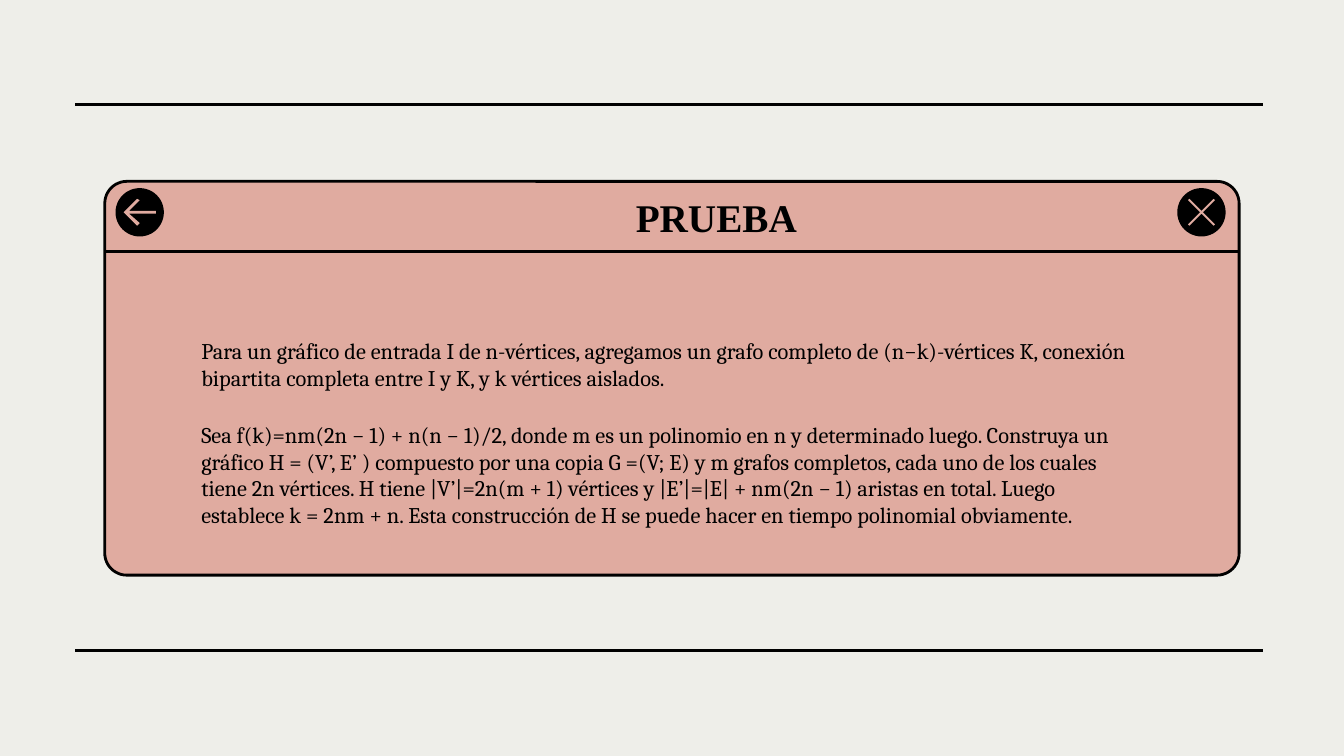
from dataclasses import dataclass

from lxml import etree
from pptx import Presentation
from pptx.dml.color import RGBColor
from pptx.enum.shapes import MSO_CONNECTOR, MSO_SHAPE
from pptx.enum.text import MSO_ANCHOR, MSO_AUTO_SIZE, PP_ALIGN
from pptx.oxml.ns import qn
from pptx.util import Inches, Pt

STRAIGHT = MSO_CONNECTOR.STRAIGHT
ROUNDED = MSO_SHAPE.ROUNDED_RECTANGLE
OVAL = MSO_SHAPE.OVAL
TOP, BOTTOM = MSO_ANCHOR.TOP, MSO_ANCHOR.BOTTOM
LEFT, CENTER = PP_ALIGN.LEFT, PP_ALIGN.CENTER
NO_AUTOFIT = MSO_AUTO_SIZE.NONE
TITLE_ONLY = 5


@dataclass(frozen=True)
class Theme:
    background: RGBColor = RGBColor(0xEE, 0xEE, 0xE9)
    ink: RGBColor = RGBColor(0, 0, 0)
    panel: RGBColor = RGBColor(0xE0, 0xAB, 0xA0)
    title_font: str = "Times New Roman"
    body_font: str = "Cambria"
    title_size: Pt = Pt(21)
    body_size: Pt = Pt(12)
    paragraph_gap: Pt = Pt(16)
    stroke: Pt = Pt(1.5)


THEME = Theme()
SLIDE_WIDTH = 10
SLIDE_HEIGHT = SLIDE_WIDTH * 9 / 16
BUTTON_SIZE = 0.36
BUTTON_MIDDLE = 1.58
CROSS = [(-0.09, -0.1), (-0.1, -0.09), (-0.01, 0), (-0.1, 0.09),
         (-0.09, 0.1), (0, 0.01), (0.09, 0.1), (0.1, 0.09),
         (0.01, 0), (0.1, -0.09), (0.09, -0.1), (0, -0.01)]
ARROW = [(-0.02, -0.1), (-0.12, 0), (-0.02, 0.1), (0, 0.08),
         (-0.08, 0.01), (0.12, 0.01), (0.12, -0.01), (-0.08, -0.01),
         (0, -0.09)]
PARAGRAPHS = [
    "Para un gráfico de entrada I de n-vértices, agregamos un grafo completo "
    "de (n−k)-vértices K, conexión bipartita completa entre I y K, y k "
    "vértices aislados.",
    "Sea f(k)=nm(2n − 1) + n(n − 1)/2, donde m es un polinomio en n y "
    "determinado luego. Construya un gráfico H = (V’, E’ ) compuesto por una "
    "copia G =(V; E) y m grafos completos, cada uno de los cuales tiene 2n "
    "vértices. H tiene |V’|=2n(m + 1) vértices y |E’|=|E| + nm(2n − 1) "
    "aristas en total. Luego establece k = 2nm + n. Esta construcción de H "
    "se puede hacer en tiempo polinomial obviamente.",
]


def add_rule(page, left, right, height):
    rule = page.shapes.add_connector(
        STRAIGHT, Inches(left), Inches(height), Inches(right), Inches(height))
    rule.line.color.rgb = THEME.ink
    rule.line.width = THEME.stroke
    etree.SubElement(rule.element.spPr, qn("a:effectLst"))


def paint(shape, color):
    shape.shadow.inherit = False
    shape.fill.solid()
    shape.fill.fore_color.rgb = color
    shape.line.fill.background()


def add_panel(page):
    panel = page.shapes.add_shape(
        ROUNDED, Inches(0.78), Inches(1.35), Inches(8.44), Inches(2.93))
    panel.adjustments[0] = 0.056
    paint(panel, THEME.panel)
    panel.line.color.rgb = THEME.ink
    panel.line.width = THEME.stroke


def add_button(page, center, icon):
    radius = BUTTON_SIZE / 2
    disc = page.shapes.add_shape(
        OVAL, Inches(center - radius), Inches(BUTTON_MIDDLE - radius),
        Inches(BUTTON_SIZE), Inches(BUTTON_SIZE))
    paint(disc, THEME.ink)
    points = [(Inches(center + x), Inches(BUTTON_MIDDLE + y)) for x, y in icon]
    builder = page.shapes.build_freeform(*points[0])
    builder.add_line_segments(points[1:], close=True)
    paint(builder.convert_to_shape(), THEME.panel)


def format_frame(frame, anchor):
    frame.word_wrap = True
    frame.auto_size = NO_AUTOFIT
    frame.vertical_anchor = anchor
    frame.margin_left = frame.margin_right = Inches(0.1)
    frame.margin_top = frame.margin_bottom = Inches(0.1)


def format_paragraph(para, font, size, alignment, bold=False):
    para.alignment = alignment
    for span in para.runs:
        span.font.name = font
        span.font.size = size
        span.font.bold = bold
        span.font.color.rgb = THEME.ink


def set_title(page, text):
    title = page.shapes.title
    title.left, title.top = Inches(1.11), Inches(1.26)
    title.width, title.height = Inches(8.44), Inches(0.62)
    title.text_frame.text = text
    format_frame(title.text_frame, BOTTOM)
    para = title.text_frame.paragraphs[0]
    para.line_spacing = 0.7
    format_paragraph(para, THEME.title_font, THEME.title_size, CENTER, True)
    title.element.getparent().append(title.element)


def add_body(page, texts):
    box = page.shapes.add_textbox(
        Inches(1.4), Inches(2.41), Inches(7.2), Inches(1.7))
    frame = box.text_frame
    format_frame(frame, TOP)
    for index, text in enumerate(texts):
        para = frame.add_paragraph() if index else frame.paragraphs[0]
        para.text = text
        if index:
            para.space_before = THEME.paragraph_gap
        format_paragraph(para, THEME.body_font, THEME.body_size, LEFT)


def main():
    deck = Presentation()
    deck.slide_width = Inches(SLIDE_WIDTH)
    deck.slide_height = Inches(SLIDE_HEIGHT)
    page = deck.slides.add_slide(deck.slide_layouts[TITLE_ONLY])
    page.background.fill.solid()
    page.background.fill.fore_color.rgb = THEME.background
    for height in (0.78, 4.84):
        add_rule(page, 0.56, 9.4, height)
    add_panel(page)
    add_rule(page, 0.79, 9.22, 1.87)
    add_body(page, PARAGRAPHS)
    add_button(page, 8.94, CROSS)
    add_button(page, 1.04, ARROW)
    set_title(page, "PRUEBA")
    deck.save("out.pptx")


if __name__ == "__main__":
    main()
